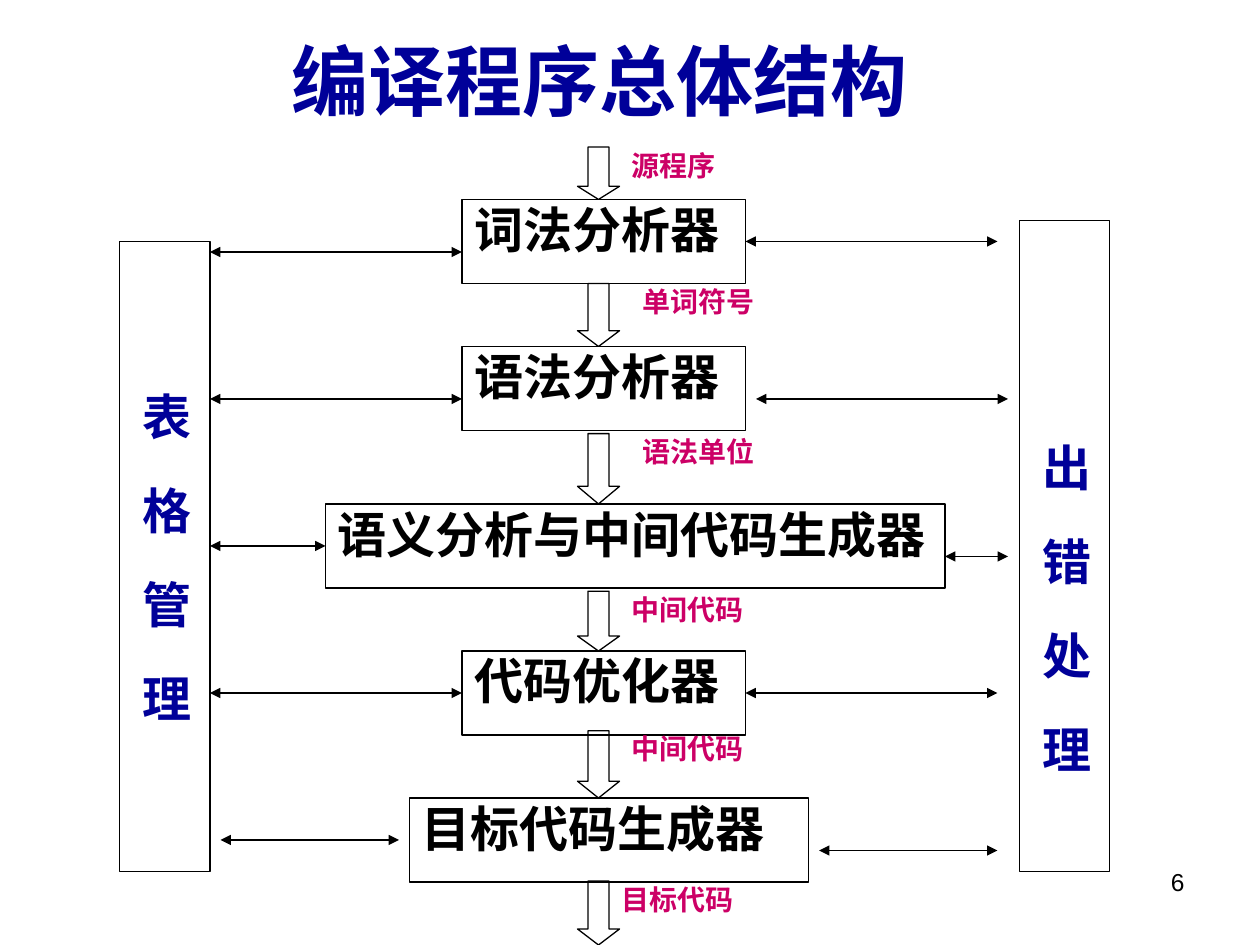
from dataclasses import dataclass

from lxml import etree
from pptx import Presentation
from pptx.dml.color import RGBColor
from pptx.enum.shapes import MSO_CONNECTOR, MSO_SHAPE
from pptx.enum.text import MSO_ANCHOR, MSO_AUTO_SIZE, PP_ALIGN
from pptx.oxml.ns import qn
from pptx.util import Inches, Pt

RECTANGLE, DOWN_ARROW = MSO_SHAPE.RECTANGLE, MSO_SHAPE.DOWN_ARROW
STRAIGHT = MSO_CONNECTOR.STRAIGHT
TOP, MIDDLE = MSO_ANCHOR.TOP, MSO_ANCHOR.MIDDLE
LEFT, CENTER, RIGHT = PP_ALIGN.LEFT, PP_ALIGN.CENTER, PP_ALIGN.RIGHT


@dataclass(frozen=True)
class Theme:
    cjk: str = "Noto Sans CJK JP"
    latin: str = "Arial"
    navy: str = "000099"
    pink: str = "CC0066"
    black: str = "000000"
    title: int = 44
    stage: int = 28
    label: int = 16
    number: int = 14
    line: float = 0.75


THEME = Theme()

# The slide is a grid of 120 columns by 90 rows
WIDTH, HEIGHT = Inches(10), Inches(7.5)
UNIT = WIDTH / 120
STAGE_HEIGHT = 8
ARROW_LEFT, ARROW_WIDTH = 55, 4
LABEL_WIDTH, LABEL_HEIGHT = 16, 5
BAR_WIDTH = 8.6

TITLE = "编译程序总体结构"
PAGE_NUMBER = "6"

# text, left, top, width
STAGES = [
    ("词法分析器", 44, 19, 27),
    ("语法分析器", 44, 33, 27),
    ("语义分析与中间代码生成器", 31, 48, 59),
    ("代码优化器", 44, 62, 27),
    ("目标代码生成器", 39, 76, 38),
]
# text, label left, top; each arrow ends at the next stage
FLOWS = [
    ("源程序", 59, 14),
    ("单词符号", 60, 27),
    ("语法单位", 60, 41.3),
    ("中间代码", 59, 56.3),
    ("中间代码", 59, 69.6),
    ("目标代码", 58, 83.9),
]
# text, left, top, height, inches above the first character
BARS = [
    ("表格管理", 11.4, 23, 60, 1.2),
    ("出错处理", 97.1, 21, 62, 1.77),
]
# start column, end column, row
LINKS = [
    (20, 44, 24), (20, 44, 38), (20, 31, 52), (20, 44, 66), (21, 38, 80),
    (71, 95, 23), (72, 96, 38), (90, 96, 53), (71, 95, 66), (78, 95, 81),
]


def grid(*cells):
    return [round(cell * UNIT) for cell in cells]


def write(shape, text, size, color, font=THEME.cjk, bold=True, align=LEFT,
          anchor=TOP, insets=(0.1, 0.05, 0.1, 0.05), wrap=True):
    frame = shape.text_frame
    frame.word_wrap = wrap
    frame.auto_size = MSO_AUTO_SIZE.NONE
    frame.vertical_anchor = anchor
    (frame.margin_left, frame.margin_top,
     frame.margin_right, frame.margin_bottom) = map(Inches, insets)
    paragraph = frame.paragraphs[0]
    paragraph.alignment = align
    run = paragraph.add_run()
    run.text = text
    run.font.size = Pt(size)
    run.font.bold = bold
    run.font.color.rgb = RGBColor.from_string(color)
    run.font.name = font
    properties = run.font._element
    etree.SubElement(properties, qn("a:ea")).set("typeface", font)
    return properties


def outline(line):
    line.color.rgb = RGBColor.from_string(THEME.black)
    line.width = Pt(THEME.line)


def add_outlined(slide, kind, *cells):
    shape = slide.shapes.add_shape(kind, *grid(*cells))
    shape.shadow.inherit = False
    shape.fill.background()
    outline(shape.line)
    return shape


def add_stage(slide, text, left, top, width):
    shape = add_outlined(slide, RECTANGLE, left, top, width, STAGE_HEIGHT)
    write(shape, text, THEME.stage, THEME.black, insets=(0.1, 0, 0.1, 0),
          wrap=False)


def add_flow(slide, text, label_left, top, bottom):
    height = bottom - top
    arrow = add_outlined(slide, DOWN_ARROW, ARROW_LEFT, top, ARROW_WIDTH, height)
    arrow.adjustments[0] = 0.5
    arrow.adjustments[1] = height / ARROW_WIDTH / 4
    label = slide.shapes.add_textbox(
        *grid(label_left, top, LABEL_WIDTH, LABEL_HEIGHT))
    write(label, text, THEME.label, THEME.pink, insets=(0.1, 0.01, 0.1, 0))


def add_bar(slide, text, left, top, height, lead):
    """Tall box with widely spaced upright characters running down it."""
    bar = add_outlined(slide, RECTANGLE, left, top, BAR_WIDTH, height)
    properties = write(bar, text, THEME.stage, THEME.navy, anchor=MIDDLE,
                       insets=(0.1, lead, 0.04, 0.1))
    properties.set("spc", "2570")
    bar.text_frame._txBody.bodyPr.set("vert", "eaVert")


def add_link(slide, start, end, row):
    """Horizontal line with an arrowhead at both ends."""
    link = slide.shapes.add_connector(STRAIGHT, *grid(start, row, end, row))
    outline(link.line)
    line = link.line._get_or_add_ln()
    for name in ("a:headEnd", "a:tailEnd"):
        etree.SubElement(line, qn(name)).set("type", "triangle")
    etree.SubElement(link._element.spPr, qn("a:effectLst"))


def main():
    presentation = Presentation()
    presentation.slide_width, presentation.slide_height = WIDTH, HEIGHT
    slide = presentation.slides.add_slide(presentation.slide_layouts[5])

    title = slide.shapes.title
    title.left, title.top, title.width, title.height = map(
        Inches, (1.46, 0.31, 6.6, 0.65))
    write(title, TITLE, THEME.title, THEME.navy, align=CENTER, anchor=MIDDLE)

    for stage in STAGES:
        add_stage(slide, *stage)
    for bar in BARS:
        add_bar(slide, *bar)
    for link in LINKS:
        add_link(slide, *link)
    arrow_ends = [top for _, _, top, _ in STAGES] + [90]
    for flow, bottom in zip(FLOWS, arrow_ends):
        add_flow(slide, *flow, bottom)

    number = slide.shapes.add_textbox(*grid(86, 82, 28, 6.2))
    write(number, PAGE_NUMBER, THEME.number, THEME.black, font=THEME.latin,
          bold=False, align=RIGHT)

    presentation.save("out.pptx")


if __name__ == "__main__":
    main()
